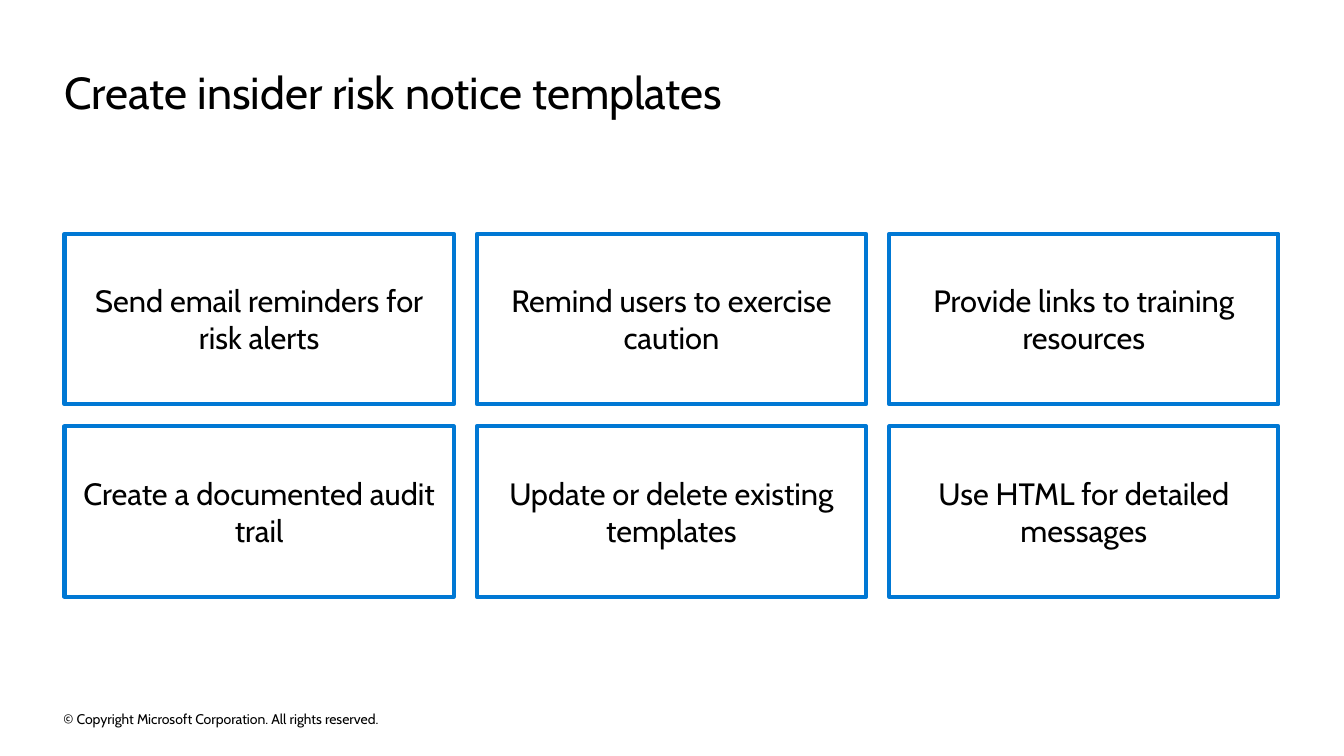
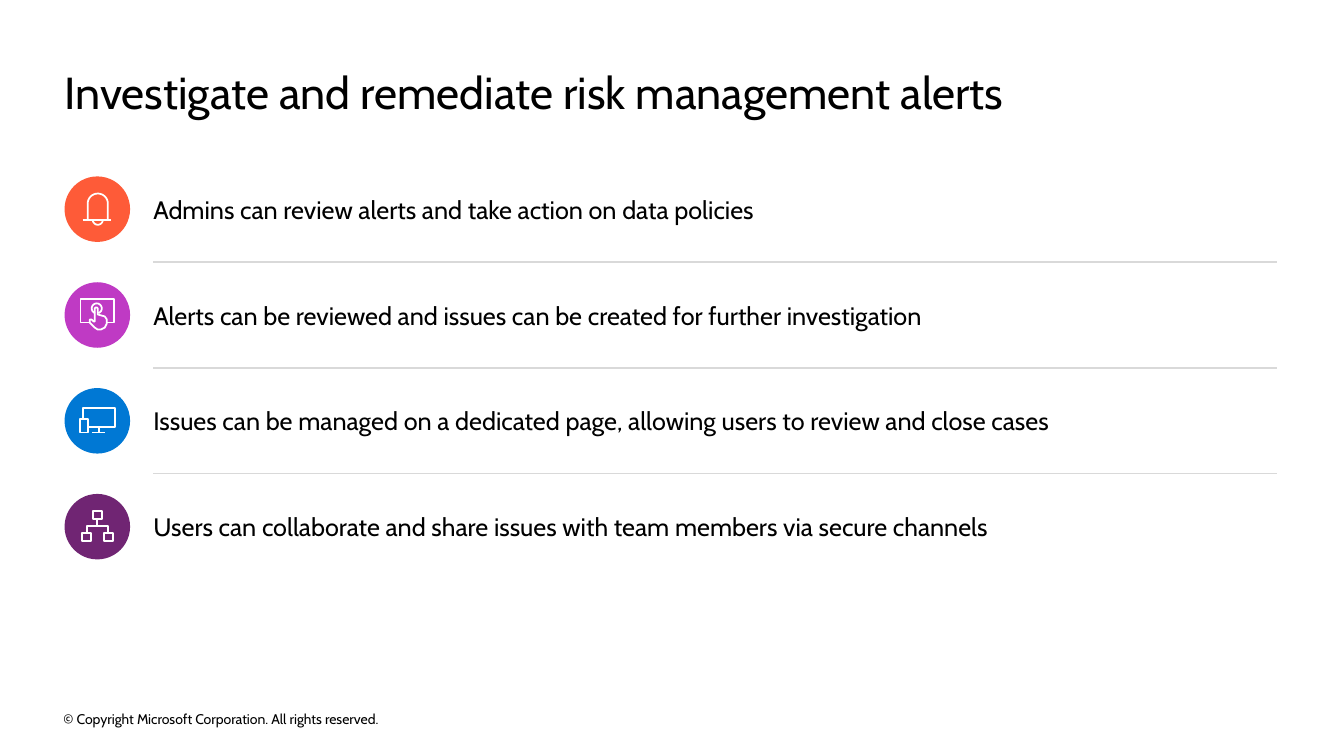
from math import cos, radians, sin

from lxml.etree import SubElement
from pptx import Presentation
from pptx.dml.color import RGBColor
from pptx.enum.shapes import MSO_CONNECTOR, MSO_SHAPE
from pptx.enum.text import MSO_ANCHOR, PP_ALIGN
from pptx.oxml.ns import qn
from pptx.util import Pt

PX = 9144
FONT = "Cabin"
BLACK, WHITE, BLUE, RULE = "000000", "FFFFFF", "0078D4", "D9D9D9"
LEFT, WIDTH = 64, 1204
FOOTER = "© Copyright Microsoft Corporation. All rights reserved."


def arc(cx, cy, radius, start, end, steps=16):
    angles = [radians(start + (end - start) * i / steps) for i in range(steps + 1)]
    return [(cx + radius * cos(a), cy + radius * sin(a)) for a in angles]


def box(left, top, width, height):
    right, bottom = left + width, top + height
    return [(left, top), (right, top), (right, bottom), (left, bottom), (left, top)]


BELL = [
    arc(33, 43, 5, 0, 180),
    [(43, 43), *arc(33, 27, 10, 0, -180), (23, 43)],
    [(18, 43), (46, 43)],
]
TOUCH = [
    [(33, 26), (32, 25), (31, 25), (30, 26), (30, 39), (29, 39), (27, 37),
     (25, 37), (25, 40), (30, 45), (33, 47), (36, 47), (40, 45), (42, 41),
     (42, 37), (40, 34), (33, 32), (33, 26)],
    arc(32, 26, 5, 70, -250),
    [(42, 40), (49, 40), (49, 17), (16, 17), (16, 40), (25, 40)],
]
DEVICES = [
    box(15, 31, 8, 13),
    [(23, 39), (50, 39), (50, 20), (18, 20), (18, 31)],
    [(34, 44), (34, 39)],
    [(40, 44), (27, 44)],
]
TEAM = [
    box(17, 39, 9, 8),
    box(39, 39, 9, 8),
    box(28, 17, 9, 8),
    [(32, 25), (32, 32)],
    [(43, 39), (43, 32), (22, 32), (22, 39)],
]

NOTICE_TITLE = "Create insider risk notice templates"
NOTICES = [
    "Send email reminders for risk alerts",
    "Remind users to exercise caution",
    "Provide links to training resources",
    "Create a documented audit trail",
    "Update or delete existing templates",
    "Use HTML for detailed messages",
]
ALERT_TITLE = "Investigate and remediate risk management alerts"
ALERTS = [
    ("FE5B38", BELL, "Admins can review alerts and take action on data policies"),
    ("BF3AC4", TOUCH, "Alerts can be reviewed and issues can be created for further investigation"),
    (BLUE, DEVICES, "Issues can be managed on a dedicated page, allowing users to review and close cases"),
    ("702573", TEAM, "Users can collaborate and share issues with team members via secure channels"),
]


def rgb(value):
    return RGBColor.from_string(value)


def px(*values):
    return [round(v * PX) for v in values]


def write(sp, text, size, align=PP_ALIGN.LEFT, anchor=MSO_ANCHOR.MIDDLE, inset=0):
    tf = sp.text_frame
    tf.word_wrap = True
    tf.vertical_anchor = anchor
    tf.margin_left = tf.margin_right = inset * PX
    tf.margin_top = tf.margin_bottom = 0
    p = tf.paragraphs[0]
    p.alignment = align
    r = p.add_run()
    r.text = text
    r.font.size = Pt(size)
    r.font.name = FONT
    r.font.color.rgb = rgb(BLACK)


def add_text(s, text, size, *area):
    write(s.shapes.add_textbox(*px(*area)), text, size)


def style(sp, fill=None, line=None, weight=1.0):
    sp.shadow.inherit = False
    if fill:
        sp.fill.solid()
        sp.fill.fore_color.rgb = rgb(fill)
    else:
        sp.fill.background()
    if line:
        sp.line.color.rgb = rgb(line)
        sp.line.width = Pt(weight)
    else:
        sp.line.fill.background()


def add_slide(prs, title):
    s = prs.slides.add_slide(prs.slide_layouts[5])
    sp = s.shapes.title
    sp.left, sp.top, sp.width, sp.height = px(LEFT, 64, WIDTH, 54)
    write(sp, title, 32, anchor=MSO_ANCHOR.TOP)
    add_text(s, FOOTER, 10, 63, 702, 454, 22)
    return s


def add_icon(s, strokes, left, top):
    placed = [[px(left + x, top + y) for x, y in stroke] for stroke in strokes]
    builder = s.shapes.build_freeform(*placed[0][0])
    for i, (start, *rest) in enumerate(placed):
        if i:
            builder.move_to(*start)
        builder.add_line_segments(rest, close=False)
    style(builder.convert_to_shape(), line=WHITE, weight=1.25)


def add_rule(s, left, right, y):
    line = s.shapes.add_connector(MSO_CONNECTOR.STRAIGHT, *px(left, y, right, y))
    line.line.color.rgb = rgb(RULE)
    line.line.width = Pt(1)
    SubElement(line._element.spPr, qn("a:effectLst"))


def notice_slide(prs):
    s = add_slide(prs, NOTICE_TITLE)
    columns, top, width, height, gap = 3, 232, 386, 169, 22
    pitch = (WIDTH - width) / (columns - 1)
    for i, text in enumerate(NOTICES):
        row, column = divmod(i, columns)
        sp = s.shapes.add_shape(
            MSO_SHAPE.RECTANGLE,
            *px(LEFT + column * pitch, top + row * (height + gap), width, height))
        style(sp, line=BLUE, weight=3)
        write(sp, text, 22, PP_ALIGN.CENTER, inset=10)


def alert_slide(prs):
    s = add_slide(prs, ALERT_TITLE)
    first, pitch, disc, text_left, text_width, text_height = 175, 105, 65, 152, 1115, 30
    for i, (color, strokes, text) in enumerate(ALERTS):
        top = first + i * pitch
        if i:
            add_rule(s, text_left, text_left + text_width, top - (pitch - disc) / 2)
        sp = s.shapes.add_shape(MSO_SHAPE.OVAL, *px(LEFT, top, disc, disc))
        style(sp, fill=color)
        add_icon(s, strokes, LEFT, top)
        add_text(s, text, 18, text_left, top + (disc - text_height) / 2,
                 text_width, text_height)


def main():
    prs = Presentation()
    prs.slide_width, prs.slide_height = px(1333, 750)
    notice_slide(prs)
    alert_slide(prs)
    prs.save("out.pptx")


if __name__ == "__main__":
    main()
